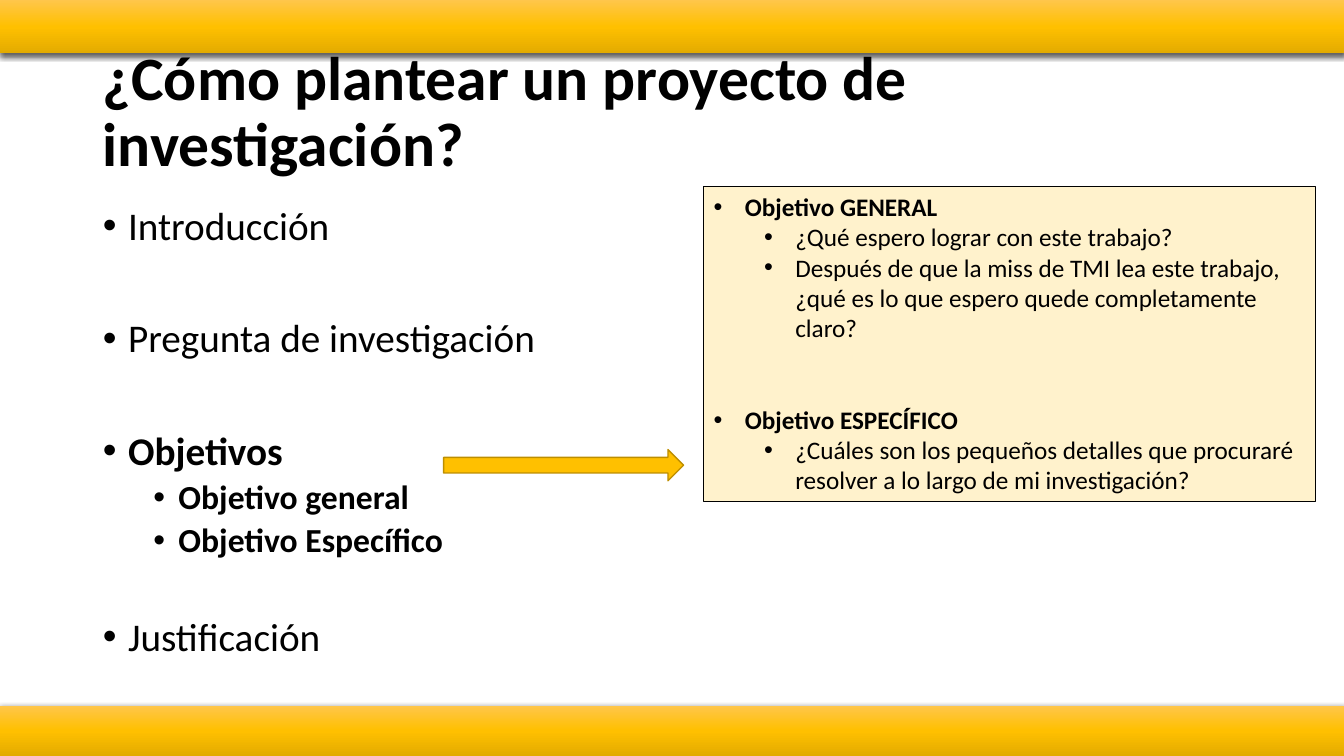
from copy import deepcopy
from dataclasses import dataclass

from lxml import etree
from pptx import Presentation
from pptx.dml.color import RGBColor
from pptx.enum.shapes import MSO_SHAPE
from pptx.enum.text import MSO_ANCHOR, MSO_AUTO_SIZE, PP_ALIGN
from pptx.oxml.ns import qn
from pptx.shapes.autoshape import Shape
from pptx.slide import Slide
from pptx.text.text import TextFrame
from pptx.util import Inches, Pt

RECTANGLE = MSO_SHAPE.RECTANGLE
RIGHT_ARROW = MSO_SHAPE.RIGHT_ARROW
LEFT = PP_ALIGN.LEFT
TOP = MSO_ANCHOR.TOP
MIDDLE = MSO_ANCHOR.MIDDLE
NO_AUTOFIT = MSO_AUTO_SIZE.NONE


@dataclass(frozen=True)
class Theme:
    """Colours, font and type sizes of the slide."""

    font: str = "Calibri"
    text: str = "000000"
    accent: str = "FFC000"
    accent_line: str = "BD8E00"
    panel: str = "FFF2CC"
    band: tuple[str, ...] = ("FFC64B", "FFC000", "E3AB00")
    title_size: int = 44
    body_sizes: tuple[int, int] = (28, 24)
    panel_sizes: tuple[int, int] = (18, 18)


@dataclass(frozen=True)
class Box:
    """A place on the slide, in inches."""

    left: float
    top: float
    width: float
    height: float


@dataclass(frozen=True)
class Item:
    """One bulleted line with the space above it in points."""

    text: str
    level: int = 0
    bold: bool = False
    space_before: float = 0


@dataclass(frozen=True)
class ListStyle:
    """Type sizes by level, hanging indent in inches and line spacing."""

    sizes: tuple[int, int]
    hanging: float
    line_spacing: float


THEME = Theme()
LEVEL_STEP = 0.5
SECTION_GAP = 50

TITLE_BOX = Box(0.92, 0.4, 11.5, 1.45)
BODY_BOX = Box(0.92, 2, 11.5, 4.76)
BANDS = (Box(0, 0, 13.33, 0.53), Box(0, 7, 13.33, 0.5))
ARROW_BOX = Box(4.4, 4.46, 2.38, 0.31)
PANEL_BOX = Box(6.98, 1.85, 6.07, 3.13)

SECTIONS = (
    Item("Introducción", space_before=10),
    Item("Pregunta de investigación", space_before=SECTION_GAP),
    Item("Objetivos", bold=True, space_before=SECTION_GAP),
    Item("Objetivo general", 1, True, 5),
    Item("Objetivo Específico", 1, True, 5),
    Item("Justificación", space_before=41),
)
OBJECTIVES = (
    Item("Objetivo GENERAL", bold=True),
    Item("¿Qué espero lograr con este trabajo?", 1),
    Item("Después de que la miss de TMI lea este trabajo, "
         "¿qué es lo que espero quede completamente claro?", 1),
    Item("Objetivo ESPECÍFICO", bold=True, space_before=44),
    Item("¿Cuáles son los pequeños detalles que procuraré "
         "resolver a lo largo de mi investigación?", 1),
)


def color(value: str) -> RGBColor:
    """Turn a hexadecimal value into a colour."""
    return RGBColor.from_string(value)


def place(shape: Shape, box: Box) -> None:
    """Move and size a shape."""
    shape.left, shape.top = Inches(box.left), Inches(box.top)
    shape.width, shape.height = Inches(box.width), Inches(box.height)


def format_runs(paragraph, size: int, bold: bool) -> None:
    """Apply the theme's font to every run of a paragraph."""
    for run in paragraph.runs:
        run.font.name = THEME.font
        run.font.size = Pt(size)
        run.font.bold = bold
        run.font.color.rgb = color(THEME.text)


def write_list(text_frame: TextFrame, items: tuple[Item, ...], style: ListStyle) -> None:
    """Fill a text frame with a two-level bulleted list."""
    text_frame.text = "\n".join(item.text for item in items)
    text_frame.word_wrap = True
    text_frame.auto_size = NO_AUTOFIT
    for paragraph, item in zip(text_frame.paragraphs, items):
        paragraph.level = item.level
        paragraph.alignment = LEFT
        paragraph.line_spacing = style.line_spacing
        paragraph.space_before = Pt(item.space_before)
        properties = paragraph._p.get_or_add_pPr()
        properties.set("marL", str(Inches(style.hanging + item.level * LEVEL_STEP)))
        properties.set("indent", str(-Inches(style.hanging)))
        etree.SubElement(properties, qn("a:buFont"), typeface="Arial")
        etree.SubElement(properties, qn("a:buChar"), char="•")
        format_runs(paragraph, style.sizes[item.level], item.bold)


def add_filled_shape(slide: Slide, kind: MSO_SHAPE, box: Box, fill: str,
                     line: str, line_width: float) -> Shape:
    """Add a flat shape with a solid fill and an outline."""
    shape = slide.shapes.add_shape(kind, 0, 0, 0, 0)
    place(shape, box)
    shape.shadow.inherit = False
    shape.fill.solid()
    shape.fill.fore_color.rgb = color(fill)
    shape.line.color.rgb = color(line)
    shape.line.width = Pt(line_width)
    return shape


def add_band(slide: Slide, box: Box) -> None:
    """Add a band with a vertical gradient and a soft shadow below."""
    band = slide.shapes.add_shape(RECTANGLE, 0, 0, 0, 0)
    place(band, box)
    band.line.fill.background()
    band.fill.gradient()
    band.fill.gradient_angle = 270
    stop_list = band._element.spPr.find(f".//{qn('a:gsLst')}")
    stop_list.append(deepcopy(stop_list[-1]))
    for index, (stop, value) in enumerate(zip(band.fill.gradient_stops, THEME.band)):
        stop.position = index / (len(THEME.band) - 1)
        stop.color.rgb = color(value)
    band.shadow.inherit = False
    effects = band._element.spPr.find(qn("a:effectLst"))
    shadow = etree.SubElement(effects, qn("a:outerShdw"), blurRad=str(Pt(4.5)),
                              dist=str(Pt(1.5)), dir="5400000", rotWithShape="0")
    shade = etree.SubElement(shadow, qn("a:srgbClr"), val=THEME.text)
    etree.SubElement(shade, qn("a:alpha"), val="63000")


def write_title(title: Shape) -> None:
    """Place and format the slide title."""
    place(title, TITLE_BOX)
    text_frame = title.text_frame
    text_frame.text = "¿Cómo plantear un proyecto de investigación?"
    text_frame.word_wrap = True
    text_frame.auto_size = NO_AUTOFIT
    text_frame.vertical_anchor = MIDDLE
    paragraph = text_frame.paragraphs[0]
    paragraph.alignment = LEFT
    paragraph.line_spacing = 0.9
    format_runs(paragraph, THEME.title_size, True)


def main() -> None:
    """Build the slide and save it."""
    presentation = Presentation()
    presentation.slide_width, presentation.slide_height = Inches(13.33), Inches(7.5)
    slide = presentation.slides.add_slide(presentation.slide_layouts[1])
    write_title(slide.shapes.title)
    body = slide.placeholders[1]
    place(body, BODY_BOX)
    body.text_frame.vertical_anchor = TOP
    write_list(body.text_frame, SECTIONS, ListStyle(THEME.body_sizes, 0.25, 0.9))
    for box in BANDS:
        add_band(slide, box)
    add_filled_shape(slide, RIGHT_ARROW, ARROW_BOX, THEME.accent, THEME.accent_line, 1)
    panel = add_filled_shape(slide, RECTANGLE, PANEL_BOX, THEME.panel, THEME.text, 0.75)
    panel.text_frame.vertical_anchor = TOP
    write_list(panel.text_frame, OBJECTIVES, ListStyle(THEME.panel_sizes, 0.31, 1.0))
    presentation.save("out.pptx")


main()
